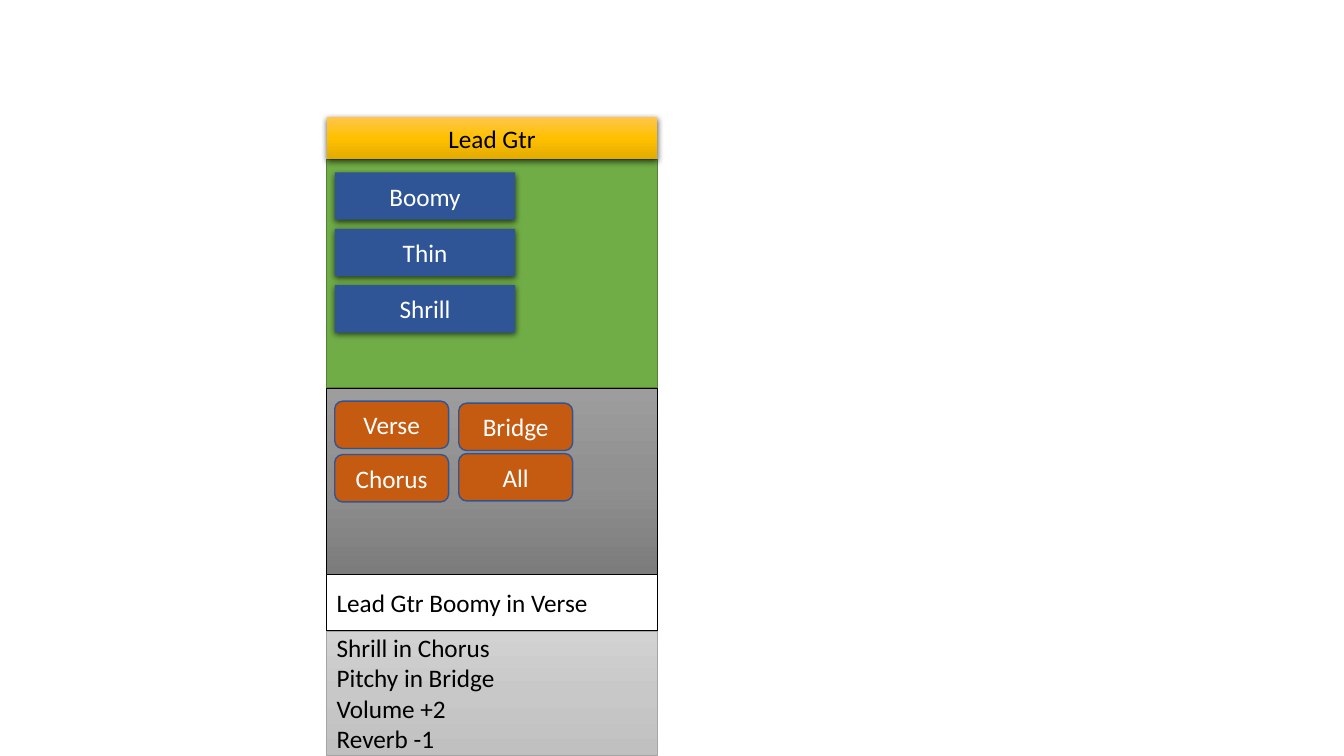
from copy import deepcopy

from pptx import Presentation
from pptx.dml.color import RGBColor
from pptx.enum.shapes import MSO_SHAPE
from pptx.enum.text import MSO_ANCHOR, PP_ALIGN
from pptx.oxml import parse_xml
from pptx.oxml.ns import nsdecls, qn
from pptx.util import Inches, Pt

RECTANGLE = MSO_SHAPE.RECTANGLE
ROUNDED = MSO_SHAPE.ROUNDED_RECTANGLE
MIDDLE = MSO_ANCHOR.MIDDLE
LEFT, CENTER = PP_ALIGN.LEFT, PP_ALIGN.CENTER

CHANNEL = "Lead Gtr"
TONES = ["Boomy", "Thin", "Shrill"]
SECTIONS = [
    (0, 3.98, "Verse"),
    (0, 4.51, "Chorus"),
    (1, 4.0, "Bridge"),
    (1, 4.5, "All"),
]
CURRENT_NOTE = ["Lead Gtr Boomy in Verse"]
NOTES = ["Shrill in Chorus", "Pitchy in Bridge", "Volume +2", "Reverb -1"]

THEME = {
    "font": "Calibri",
    "size": 18,
    "light": "FFFFFF",
    "dark": "000000",
    "tone_panel": {"fill": ["70AD47"], "line": ("538035", 1)},
    "section_panel": {"fill": ["9D9D9D", "909090", "7C7C7C"], "line": ("000000", 0.5)},
    "tone": {"fill": ["2F5597"], "shadow": True},
    "header": {"fill": ["FFC64B", "FFC000", "E3AB00"], "shadow": True},
    "section": {"fill": ["C55A11"], "line": ("325491", 1)},
    "current_note": {"fill": ["FFFFFF"], "line": ("000000", 1)},
    "notes": {"fill": ["D2D2D2", "C8C8C8", "C0C0C0"], "line": ("A5A5A5", 0.5)},
}

PANEL_LEFT, PANEL_WIDTH = 3.24, 3.28
BUTTON_LEFT, BUTTON_HEIGHT = 3.32, 0.47
TONE_TOP, TONE_STEP, TONE_WIDTH = 1.71, 0.56, 1.79
SECTION_STEP, SECTION_WIDTH = 1.23, 1.13


def fill_shape(shape, colors):
    fill = shape.fill
    if len(colors) == 1:
        fill.solid()
        fill.fore_color.rgb = RGBColor.from_string(colors[0])
        return
    fill.gradient()
    fill.gradient_angle = 270
    stop_list = shape._element.spPr.find(".//" + qn("a:gsLst"))
    stop_list.append(deepcopy(stop_list[0]))
    for index, (stop, color) in enumerate(zip(fill.gradient_stops, colors)):
        stop.position = index / (len(colors) - 1)
        stop.color.rgb = RGBColor.from_string(color)


def add_shadow(shape):
    effects = shape._element.spPr.find(qn("a:effectLst"))
    effects.append(parse_xml(
        f'<a:outerShdw {nsdecls("a")} blurRad="{Pt(4.5)}" dist="{Pt(1.5)}" '
        'dir="5400000" algn="ctr" rotWithShape="0"><a:srgbClr val="000000">'
        '<a:alpha val="63000"/></a:srgbClr></a:outerShdw>'
    ))


def write_text(shape, lines, color, alignment):
    frame = shape.text_frame
    for name, value in {"word_wrap": True, "vertical_anchor": MIDDLE}.items():
        setattr(frame, name, value)
    for index, line in enumerate(lines):
        paragraph = frame.add_paragraph() if index else frame.paragraphs[0]
        paragraph.text = line
        paragraph.alignment = alignment
        font_values = {"name": THEME["font"], "size": Pt(THEME["size"])}
        for name, value in font_values.items():
            setattr(paragraph.font, name, value)
        paragraph.font.color.rgb = RGBColor.from_string(THEME[color])


def add_box(slide, style_name, bounds, lines=(), color="dark", alignment=LEFT, kind=RECTANGLE):
    style = THEME[style_name]
    shape = slide.shapes.add_shape(kind, *map(Inches, bounds))
    shape.shadow.inherit = False
    fill_shape(shape, style["fill"])
    if "line" in style:
        line_color, line_width = style["line"]
        shape.line.color.rgb = RGBColor.from_string(line_color)
        shape.line.width = Pt(line_width)
    else:
        shape.line.fill.background()
    if style.get("shadow"):
        add_shadow(shape)
    if lines:
        write_text(shape, lines, color, alignment)


def add_panel(slide, style_name, top, height, *text):
    add_box(slide, style_name, (PANEL_LEFT, top, PANEL_WIDTH, height), *text)


def main():
    presentation = Presentation()
    presentation.slide_width = Inches(13.33)
    presentation.slide_height = Inches(7.5)
    slide = presentation.slides.add_slide(presentation.slide_layouts[6])

    add_panel(slide, "tone_panel", 1.58, 2.27)
    add_panel(slide, "section_panel", 3.85, 1.85)
    for index, tone in enumerate(TONES):
        bounds = (BUTTON_LEFT, TONE_TOP + index * TONE_STEP, TONE_WIDTH, BUTTON_HEIGHT)
        add_box(slide, "tone", bounds, [tone], "light", CENTER)
    add_panel(slide, "header", 1.16, 0.42, [CHANNEL], "dark", CENTER)
    for column, top, section in SECTIONS:
        bounds = (BUTTON_LEFT + column * SECTION_STEP, top, SECTION_WIDTH, BUTTON_HEIGHT)
        add_box(slide, "section", bounds, [section], "light", CENTER, ROUNDED)
    add_panel(slide, "current_note", 5.7, 0.56, CURRENT_NOTE)
    add_panel(slide, "notes", 6.26, 1.23, NOTES)

    presentation.save("out.pptx")


if __name__ == "__main__":
    main()
